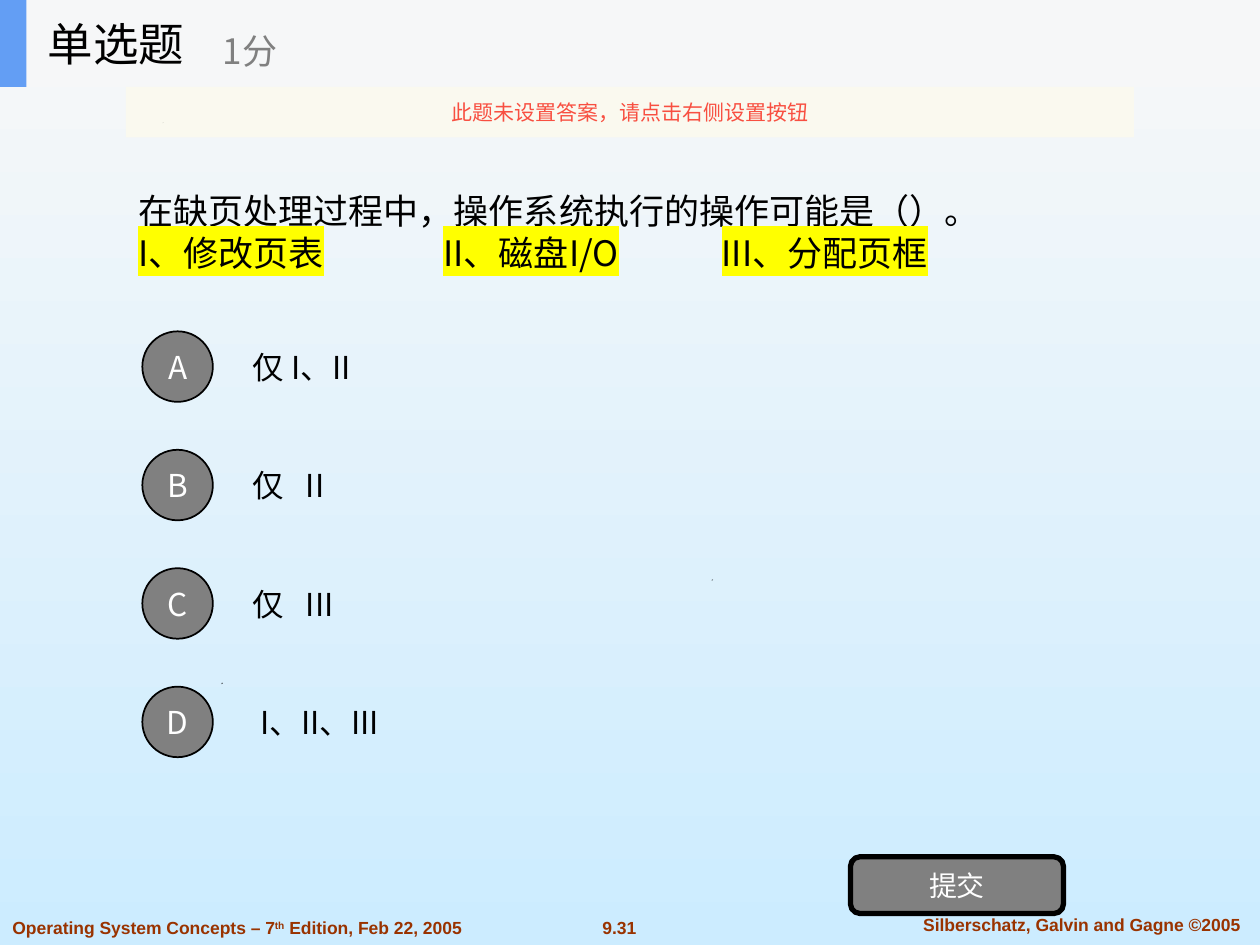
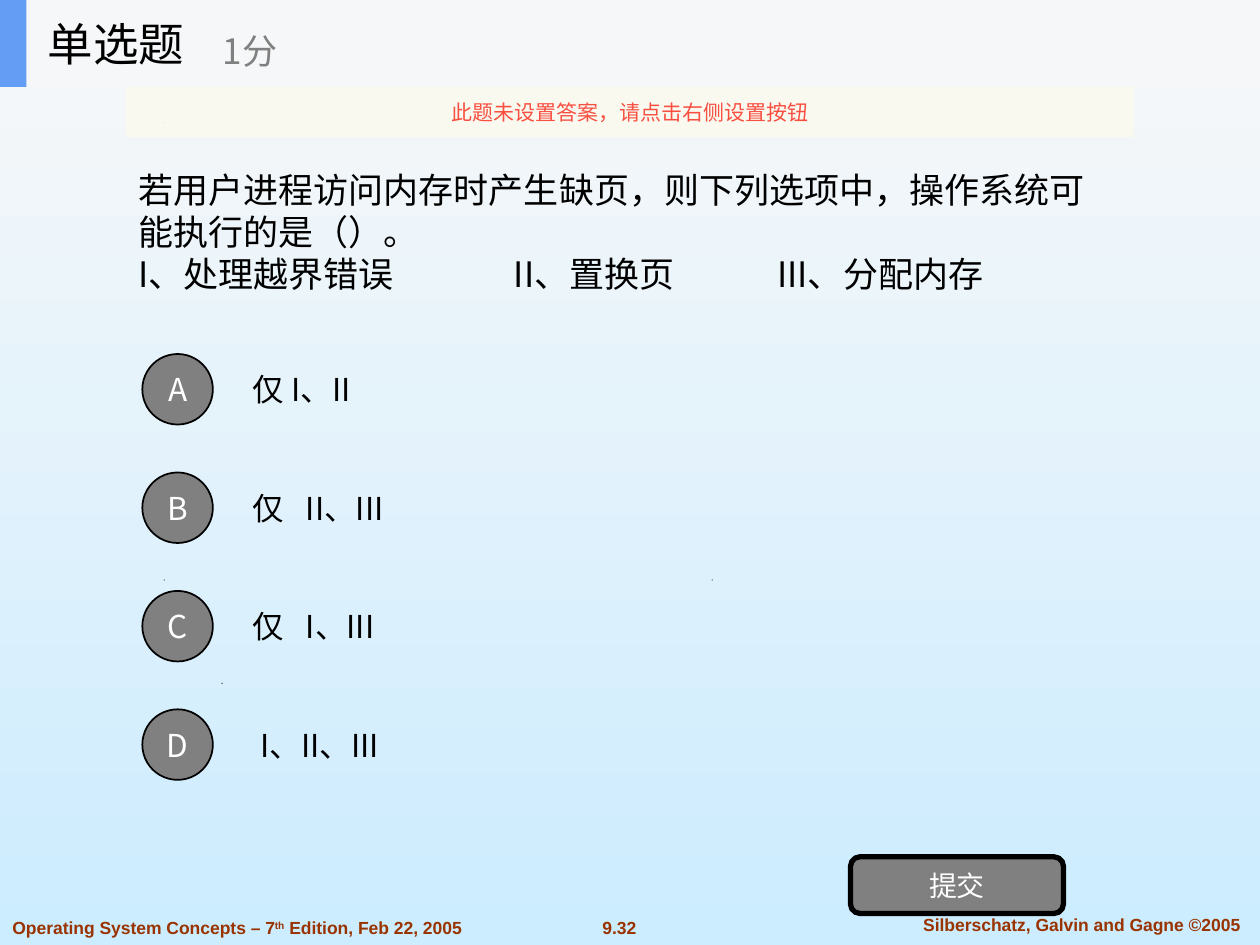
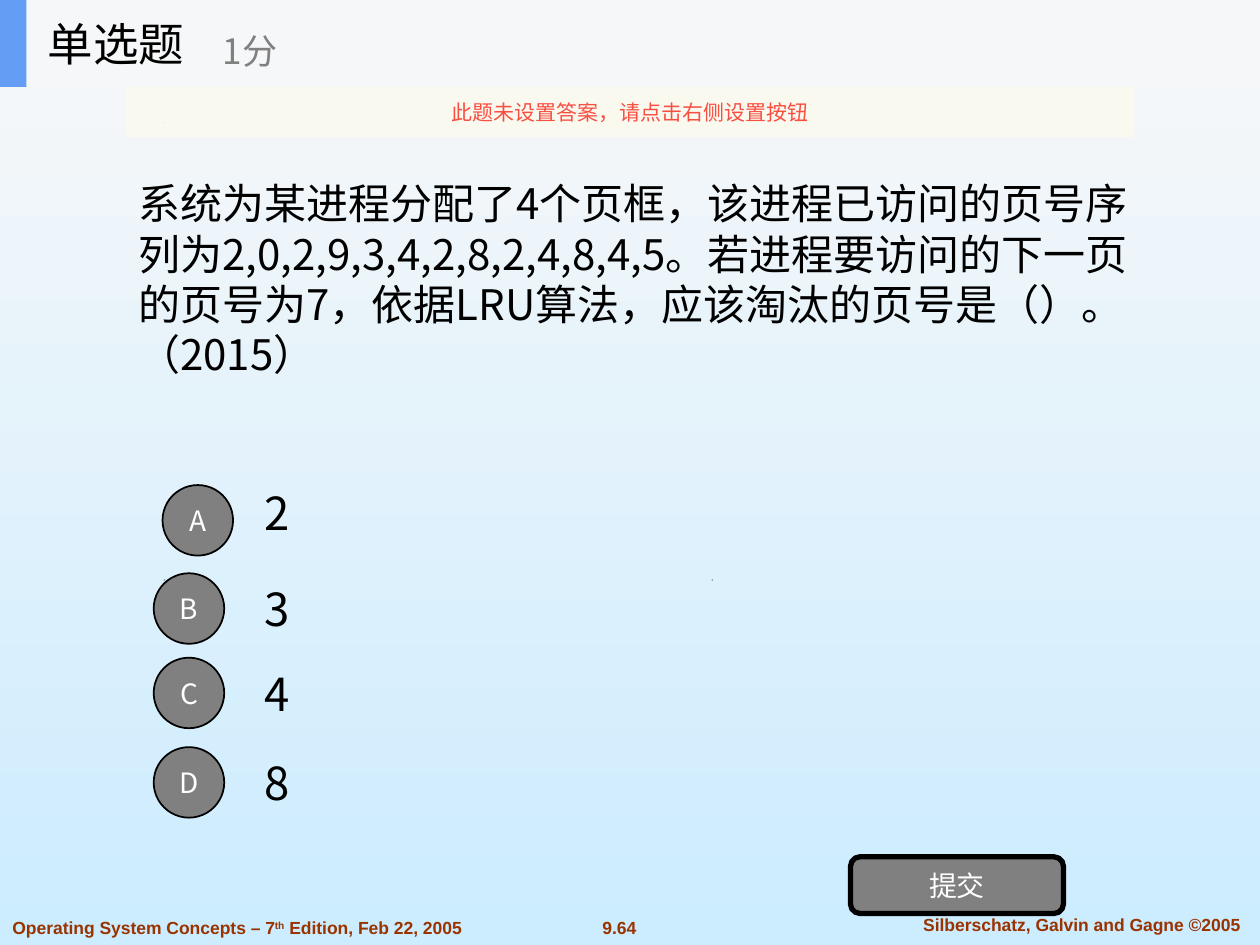
"""Build three single-choice quiz slides on page faults and page replacement."""
from lxml.etree import SubElement
from pptx import Presentation
from pptx.dml.color import RGBColor as RGB
from pptx.enum.shapes import MSO_SHAPE as SHAPE
from pptx.enum.text import MSO_ANCHOR as ANCHOR, PP_ALIGN as ALIGN
from pptx.oxml import parse_xml
from pptx.oxml.ns import nsdecls, qn
from pptx.util import Inches, Pt

SANS = "Noto Sans CJK SC"
COLORS = {
    "ink": "000000", "white": "FFFFFF", "grey": "808080", "footer": "993300",
    "mark": "FFFF00", "band": "F6F7F8", "accent": "639EF4",
    "notice": "FBFAEF", "alert": "F84F41", "top": "F8F8F8", "base": "CCECFF",
}
KIND, SCORE, SUBMIT = "单选题", "1分", "提交"
NOTICE = "此题未设置答案，请点击右侧设置按钮"
BOOK = ("Operating System Concepts – 7", "th", " Edition, Feb 22, 2005")
RIGHTS = "Silberschatz, Galvin and Gagne ©2005"
SPECKS = [(1.76, 5.42), (1.3, 4.6), (5.65, 4.6), (1.29, 0.97)]
STEP, DOT = 0.94, 0.56


def rows(first):
    return [first + STEP * i for i in range(4)]


QUIZ = [
    {"number": "9.31", "box": (1, 0.93, 7.87, 1.81), "size": 20,
     "ask": "在缺页处理过程中，操作系统执行的操作可能是（）。\n"
            "I、修改页表\tII、磁盘I/O\tIII、分配页框",
     "tabs": (2.42, 4.63), "marked": [1],
     "picks": ["仅 I、II", "仅\tII", "仅\tIII", "\tI、II、III"],
     "left": 1.91, "tops": rows(2.56), "sizes": (18, 18), "nudge": (0, 0)},
    {"number": "9.32", "box": (1, 0.93, 7.87, 1.81), "size": 20,
     "ask": "若用户进程访问内存时产生缺页，则下列选项中，操作系统可能执行的是（）。\n"
            "I、处理越界错误\tII、置换页\tIII、分配内存",
     "tabs": (2.98, 5.07), "marked": [],
     "picks": ["仅 I、II", "仅\tII、III", "仅\tI、III", "\tI、II、III"],
     "left": 1.91, "tops": rows(2.74), "sizes": (18, 18), "nudge": (0, 0)},
    {"number": "9.64", "box": (1, 1.04, 8.27, 2.34), "size": 24,
     "ask": "系统为某进程分配了4个页框，该进程已访问的页号序列为"
            "2,0,2,9,3,4,2,8,2,4,8,4,5。若进程要访问的下一页的页号为7，"
            "依据LRU算法，应该淘汰的页号是（）。（2015）",
     "tabs": (), "marked": [], "picks": ["2", "3", "4", "8"],
     "left": 2, "tops": [3.72, 4.48, 5.15, 5.86], "sizes": (26, 16),
     "nudge": (0.07, 0.06)},
]


def rgb(name):
    return RGB.from_string(COLORS[name])


def style(run, size, color, face=SANS, bold=False):
    font = run.font
    font.size, font.bold, font.name = Pt(size), bold, face
    font.color.rgb = rgb(color)
    SubElement(run._r.get_or_add_rPr(), qn("a:ea"), typeface=face)


def write(shape, text, size, color, align=ALIGN.LEFT, wrap=True, **look):
    frame = shape.text_frame
    frame.text = text
    frame.word_wrap, frame.vertical_anchor = wrap, ANCHOR.MIDDLE
    for para in frame.paragraphs:
        para.alignment = align
        for run in para.runs:
            style(run, size, color, **look)
    return frame


def label(home, box, *text, **look):
    return write(home.add_textbox(*map(Inches, box)), *text, **look)


def block(home, kind, box, fill, line=0):
    shape = home.add_shape(kind, *map(Inches, box))
    shape.shadow.inherit = False
    shape.fill.solid()
    shape.fill.fore_color.rgb = rgb(fill)
    if line:
        shape.line.color.rgb, shape.line.width = rgb("ink"), Pt(line)
    else:
        shape.line.fill.background()
    return shape


def set_tabs(para, stops):
    tabs = SubElement(para._p.get_or_add_pPr(), qn("a:tabLst"))
    for stop in stops:
        SubElement(tabs, qn("a:tab"), pos=str(Inches(stop)), algn="l")


def mark(run):
    light = parse_xml(f'<a:highlight {nsdecls("a")}><a:srgbClr val="{COLORS["mark"]}"/></a:highlight>')
    run._r.rPr.find(qn("a:solidFill")).addnext(light)


def speck(home, x, y):
    pen = home.build_freeform(Inches(x), Inches(y + 0.01))
    pen.add_line_segments([(Inches(x + 0.01), Inches(y)), (Inches(x), Inches(y))])
    shape = pen.convert_to_shape()
    shape.shadow.inherit = False
    shape.fill.solid()
    shape.fill.fore_color.rgb = rgb("ink")
    shape.line.fill.background()


def footer(home, number):
    look = {"face": "Arial", "bold": True}
    label(home, (4.67, 7.23, 0.49, 0.27), number, 10, "footer",
          align=ALIGN.CENTER, wrap=False, **look)
    label(home, (7.1, 7.2, 2.97, 0.27), RIGHTS, 10, "footer", align=ALIGN.CENTER, **look)
    frame = label(home, (0, 7.23, 3.78, 0.27), BOOK[0], 10, "footer", wrap=False, **look)
    for part in BOOK[1:]:
        run = frame.paragraphs[0].add_run()
        run.text = part
        style(run, 10, "footer", **look)
    frame.paragraphs[0].runs[1]._r.rPr.set("baseline", "30000")


def header(home):
    group = home.add_group_shape().shapes
    block(group, SHAPE.RECTANGLE, (0, 0, 10, 0.69), "band")
    block(group, SHAPE.RECTANGLE, (0, 0, 0.21, 0.69), "accent")
    label(group, (0.28, 0, 2.08, 0.69), KIND, 26, "ink", wrap=False)
    label(group, (1.67, 0.12, 2.5, 0.56), SCORE, 20, "grey", wrap=False)
    bar = block(home, SHAPE.RECTANGLE, (1, 0.69, 8, 0.4), "notice")
    tint = bar._element.spPr.find(qn("a:solidFill"))[0]
    SubElement(tint, qn("a:alpha"), val="90000")
    write(bar, NOTICE, 12, "alert", align=ALIGN.CENTER, wrap=False)


def question(home, quiz):
    frame = label(home, quiz["box"], quiz["ask"], quiz["size"], "ink")
    if quiz["tabs"]:
        set_tabs(frame.paragraphs[-1], quiz["tabs"])
    for i in quiz["marked"]:
        for run in frame.paragraphs[i].runs:
            mark(run)


def choices(home, quiz):
    size, small = quiz["sizes"]
    for i, (pick, top) in enumerate(zip(quiz["picks"], quiz["tops"])):
        frame = label(home, (quiz["left"], top, 7, 0.7), pick, size, "ink")
        if "\t" in pick:
            set_tabs(frame.paragraphs[0], (0.06, 0.42))
        dx, dy = (0, 0) if i else quiz["nudge"]
        spot = (quiz["left"] - 0.78 + dx, top + 0.07 + dy, DOT, DOT)
        dot = block(home, SHAPE.OVAL, spot, "grey", 1)
        write(dot, "ABCD"[i], small, "white", align=ALIGN.CENTER, wrap=False)


def main():
    deck = Presentation()
    deck.slide_width, deck.slide_height = Inches(10), Inches(7.5)
    fill = deck.slide_master.background.fill
    fill.gradient()
    fill.gradient_angle = 270
    for stop, name in zip(fill.gradient_stops, ("top", "base")):
        stop.color.rgb = rgb(name)
    for quiz in QUIZ:
        home = deck.slides.add_slide(deck.slide_layouts[6]).shapes
        footer(home, quiz["number"])
        for spot in SPECKS:
            speck(home, *spot)
        question(home, quiz)
        choices(home, quiz)
        button = block(home, SHAPE.ROUNDED_RECTANGLE, (6.75, 6.8, 1.69, 0.45), "grey", 3)
        write(button, SUBMIT, 16, "white", align=ALIGN.CENTER, wrap=False)
        header(home)
    deck.save("out.pptx")


if __name__ == "__main__":
    main()
